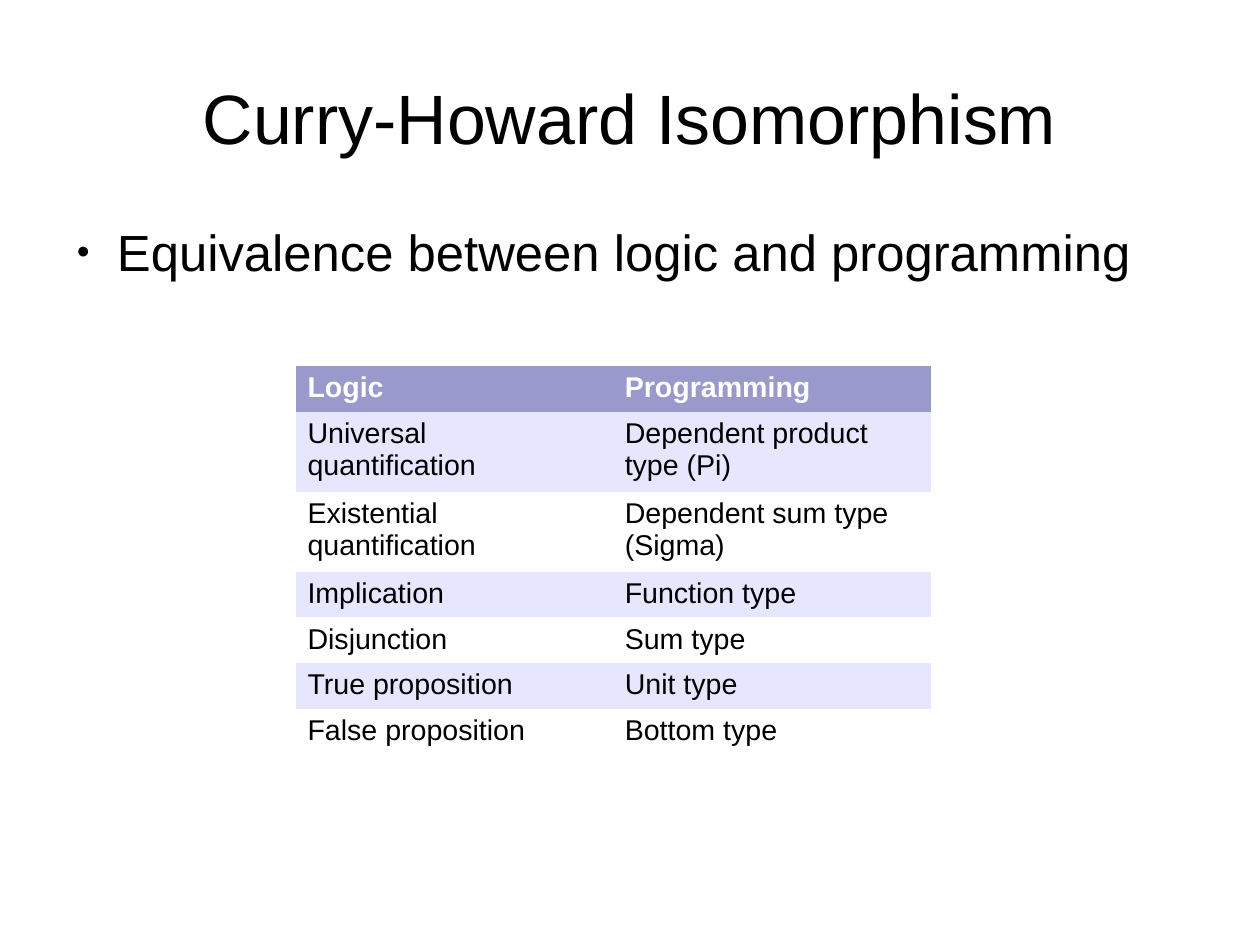
from lxml import etree
from pptx import Presentation
from pptx.dml.color import RGBColor
from pptx.enum.text import MSO_ANCHOR, PP_ALIGN
from pptx.oxml.ns import qn
from pptx.util import Cm, Pt

CENTER, LEFT = PP_ALIGN.CENTER, PP_ALIGN.LEFT
MIDDLE, TOP = MSO_ANCHOR.MIDDLE, MSO_ANCHOR.TOP

HEADING = "Curry-Howard Isomorphism"
STATEMENT = "Equivalence between logic and programming"
CORRESPONDENCE = [
    ("Logic", "Programming"),
    ("Universal quantification", "Dependent product type (Pi)"),
    ("Existential quantification", "Dependent sum type (Sigma)"),
    ("Implication", "Function type"),
    ("Disjunction", "Sum type"),
    ("True proposition", "Unit type"),
    ("False proposition", "Bottom type"),
]

FONT = "Arial"
BLACK = RGBColor(0x00, 0x00, 0x00)
WHITE = RGBColor(0xFF, 0xFF, 0xFF)
PURPLE = RGBColor(0x99, 0x99, 0xCC)
LAVENDER = RGBColor(0xE6, 0xE6, 0xFF)
PLAIN_TABLE_STYLE = "{2D5ABB26-0587-4C30-8999-92F81FD0307C}"

MARGIN, CONTENT_WIDTH = Cm(1.4), Cm(25.2)
COLUMN_WIDTH = Cm(7.05)
TABLE_HEIGHT = Cm(8.26)
ONE_LINE, TWO_LINES = Cm(0.97), Cm(1.68)
TWO_LINE_ROWS = (1, 2)


def style(paragraph, size, color, bold=False):
    for run in paragraph.runs:
        run.font.name = FONT
        run.font.size = Pt(size)
        run.font.bold = bold
        run.font.color.rgb = color


def add_text(slide, text, top, height, size, align, anchor):
    frame = slide.shapes.add_textbox(MARGIN, top, CONTENT_WIDTH, height).text_frame
    frame.word_wrap = True
    frame.vertical_anchor = anchor
    frame.margin_left = frame.margin_right = 0
    frame.margin_top = frame.margin_bottom = 0
    paragraph = frame.paragraphs[0]
    paragraph.text = text
    paragraph.alignment = align
    style(paragraph, size, BLACK)
    return paragraph


def add_bullet(paragraph):
    properties = paragraph._p.get_or_add_pPr()
    properties.set("marL", str(Cm(1.2)))
    properties.set("indent", str(-Cm(0.9)))
    color = etree.SubElement(properties, qn("a:buClr"))
    etree.SubElement(color, qn("a:srgbClr"), val=str(BLACK))
    etree.SubElement(properties, qn("a:buSzPct"), val="45000")
    etree.SubElement(properties, qn("a:buFont"), typeface=FONT)
    etree.SubElement(properties, qn("a:buChar"), char="●")


def add_correspondence(slide):
    frame = slide.shapes.add_table(
        len(CORRESPONDENCE), 2, Cm(6.58), Cm(8.13), 2 * COLUMN_WIDTH, TABLE_HEIGHT
    )
    for style_id in frame._element.iter(qn("a:tableStyleId")):
        style_id.text = PLAIN_TABLE_STYLE
    table = frame.table
    for column in table.columns:
        column.width = COLUMN_WIDTH
    for index, entries in enumerate(CORRESPONDENCE):
        header = index == 0
        fill = PURPLE if header else LAVENDER if index % 2 else WHITE
        table.rows[index].height = TWO_LINES if index in TWO_LINE_ROWS else ONE_LINE
        for column, entry in enumerate(entries):
            cell = table.cell(index, column)
            cell.fill.solid()
            cell.fill.fore_color.rgb = fill
            cell.text_frame.text = entry
            style(cell.text_frame.paragraphs[0], 18, WHITE if header else BLACK, header)
    frame.height = TABLE_HEIGHT


def main():
    deck = Presentation()
    deck.slide_width, deck.slide_height = Cm(28), Cm(21)
    slide = deck.slides.add_slide(deck.slide_layouts[6])
    add_text(slide, HEADING, Cm(0.97), Cm(3.25), 44, CENTER, MIDDLE)
    add_bullet(add_text(slide, STATEMENT, Cm(4.9), Cm(13.6), 32, LEFT, TOP))
    add_correspondence(slide)
    deck.save("out.pptx")


if __name__ == "__main__":
    main()
